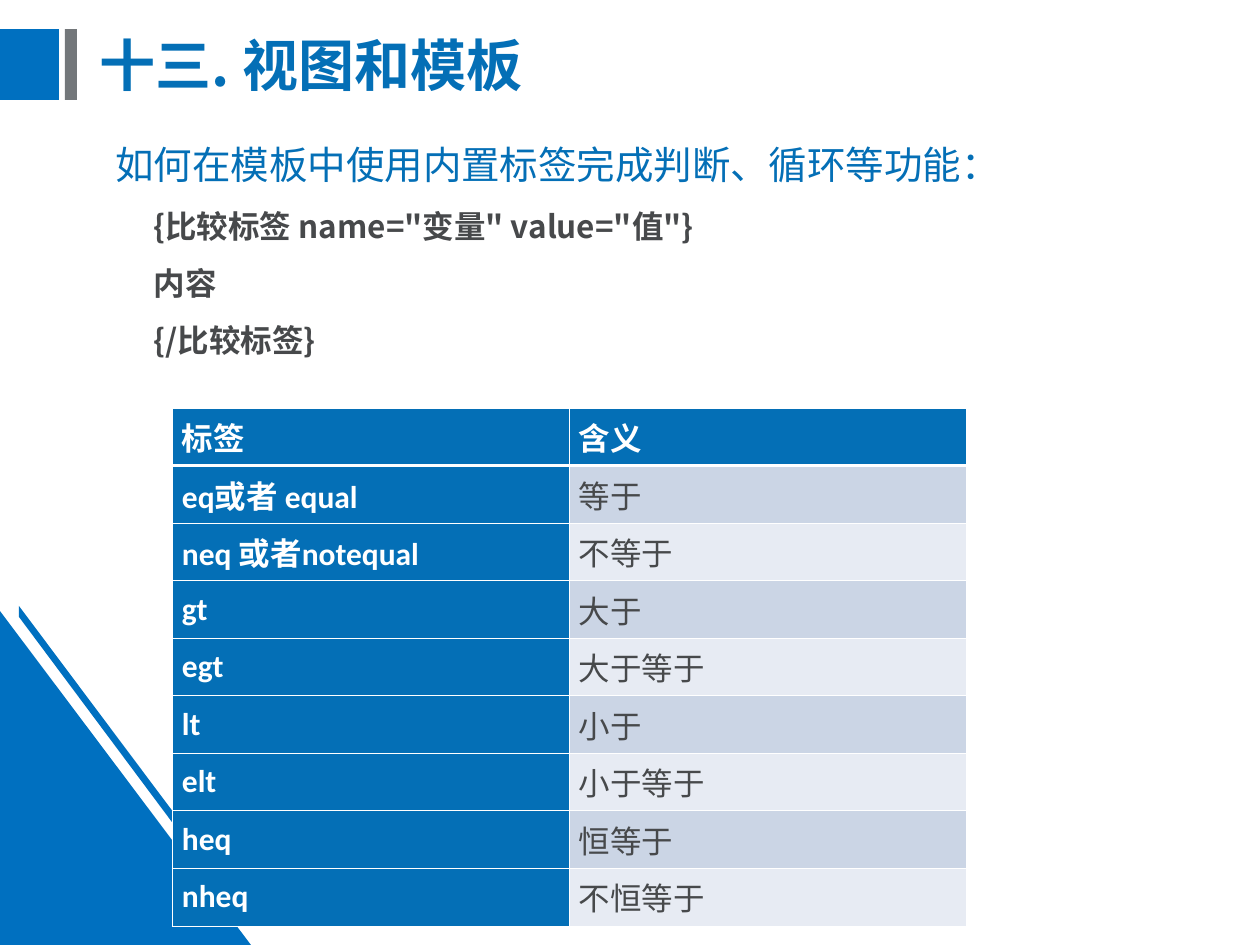
from lxml import etree
from pptx import Presentation
from pptx.dml.color import RGBColor
from pptx.enum.shapes import MSO_SHAPE
from pptx.enum.text import MSO_ANCHOR, MSO_AUTO_SIZE, PP_ALIGN
from pptx.oxml.ns import qn
from pptx.util import Pt

RECT, TRI = MSO_SHAPE.RECTANGLE, MSO_SHAPE.RIGHT_TRIANGLE
TOP, MID = MSO_ANCHOR.TOP, MSO_ANCHOR.MIDDLE
LEFT, JUST = PP_ALIGN.LEFT, PP_ALIGN.JUSTIFY
FIXED = MSO_AUTO_SIZE.NONE
SCALE = 914400 / 126  # EMU per px
HAN, LATIN = "Noto Sans CJK SC", "Calibri"
COLORS = {
    "deco": "0070C0", "gray": "73777A", "blue": "046FB6", "text": "47494B",
    "white": "FFFFFF", "dark": "CBD5E5", "light": "E7EBF3",
}
LINES = ['{比较标签 name="变量" value="值"}', "内容", "{/比较标签}"]
ROWS = [
    ("标签", "含义"), ("eq或者 equal", "等于"), ("neq 或者notequal", "不等于"),
    ("gt", "大于"), ("egt", "大于等于"), ("lt", "小于"),
    ("elt", "小于等于"), ("heq", "恒等于"), ("nheq", "不恒等于"),
]


def px(n):
    return int(n * SCALE)


def paint(fill, color):
    fill.solid()
    fill.fore_color.rgb = RGBColor.from_string(COLORS[color])


def flat(shape, color):
    paint(shape.fill, color)
    shape.line.fill.background()
    shape.shadow.inherit = False


def block(slide, kind, x, y, w, h, color):
    flat(slide.shapes.add_shape(kind, px(x), px(y), px(w), px(h)), color)


def place(shape, x, y, w, h):
    shape.left, shape.top, shape.width, shape.height = map(px, (x, y, w, h))


def add_run(para, text, size, color, bold=False, face=HAN):
    run = para.add_run()
    run.text = text
    font = run.font
    font.size, font.bold, font.name = Pt(size), bold, face
    font.color.rgb = RGBColor.from_string(COLORS[color])
    east = etree.SubElement(run._r.get_or_add_rPr(), qn("a:ea"))
    east.set("typeface", HAN)


def add_bars(slide, x, y, h):
    block(slide, RECT, x, y, 59, h, "deco")
    block(slide, RECT, x + 65, y, 12, h, "gray")


def add_corner(slide, x, y, w, h):
    block(slide, TRI, x, y, w, h, "deco")
    # Thin slanted stripe beside the triangle
    left, top = x + 19, y - 5
    path = slide.shapes.build_freeform(left, top, scale=SCALE)
    path.add_line_segments(
        [(left + 238, top + 318), (left + 229, top + 318), (left, top + 11)])
    flat(path.convert_to_shape(), "deco")


def add_title(slide, x, y, w, h):
    title = slide.shapes.title
    place(title, x, y, w, h)
    frame = title.text_frame
    frame.auto_size, frame.vertical_anchor = FIXED, MID
    para = frame.paragraphs[0]
    para.alignment, para.line_spacing = LEFT, 0.9
    add_run(para, "十三. 视图和模板", 32, "blue", True)


def add_body(slide, x, y, w, h):
    body = slide.placeholders[1]
    place(body, x, y, w, h)
    frame = body.text_frame
    frame.auto_size, frame.vertical_anchor = FIXED, TOP
    items = [("如何在模板中使用内置标签完成判断、循环等功能：", 22, "blue", False)]
    items += [(line, 18, "text", True) for line in LINES]
    for i, item in enumerate(items):
        para = frame.add_paragraph() if i else frame.paragraphs[0]
        para.alignment, para.line_spacing = JUST, 1.1
        para.space_before = Pt(9 if i else 0)
        props = para._p.get_or_add_pPr()
        props.set("marL", str(px(38)))
        props.set("indent", str(0 if i else px(-38)))
        etree.SubElement(props, qn("a:buNone"))
        add_run(para, *item)


def add_edges(cell, top, bottom):
    props = cell._tc.get_or_add_tcPr()
    sides = {"lnL": 0.45, "lnR": 0.45, "lnT": top, "lnB": bottom}
    for i, (side, width) in enumerate(sides.items()):
        line = etree.Element(qn("a:" + side), w=str(Pt(width)))
        fill = etree.SubElement(line, qn("a:solidFill"))
        etree.SubElement(fill, qn("a:srgbClr"), val=COLORS["white"])
        props.insert(i, line)


def add_grid(slide, x, y, w, row_h):
    shape = slide.shapes.add_table(
        len(ROWS), 2, px(x), px(y), px(w), px(row_h * len(ROWS)))
    table = shape.table
    for col in table.columns:
        col.width = px(w / 2)
    for r, row in enumerate(ROWS):
        table.rows[r].height = px(row_h)
        for c, text in enumerate(row):
            cell = table.cell(r, c)
            head = r == 0 or c == 0
            band = "dark" if r % 2 else "light"
            paint(cell.fill, "blue" if head else band)
            add_edges(cell, 1.47 if r == 1 else 0.45, 1.47 if r == 0 else 0.45)
            cell.vertical_anchor = MID
            cell.margin_left = cell.margin_right = px(10)
            cell.margin_top = cell.margin_bottom = px(6)
            para = cell.text_frame.paragraphs[0]
            para.alignment = JUST
            add_run(para, text, 18, "white" if head else "text", head, LATIN)


def main():
    deck = Presentation()
    deck.slide_width, deck.slide_height = px(1260), px(945)
    slide = deck.slides.add_slide(deck.slide_layouts[1])
    add_bars(slide, 0, 29, 71)
    add_corner(slide, 0, 611, 251, 334)
    add_title(slide, 87, 13, 1121, 110)
    add_body(slide, 103, 130, 1105, 815)
    add_grid(slide, 172, 408, 794, 43)
    deck.save("out.pptx")


if __name__ == "__main__":
    main()
